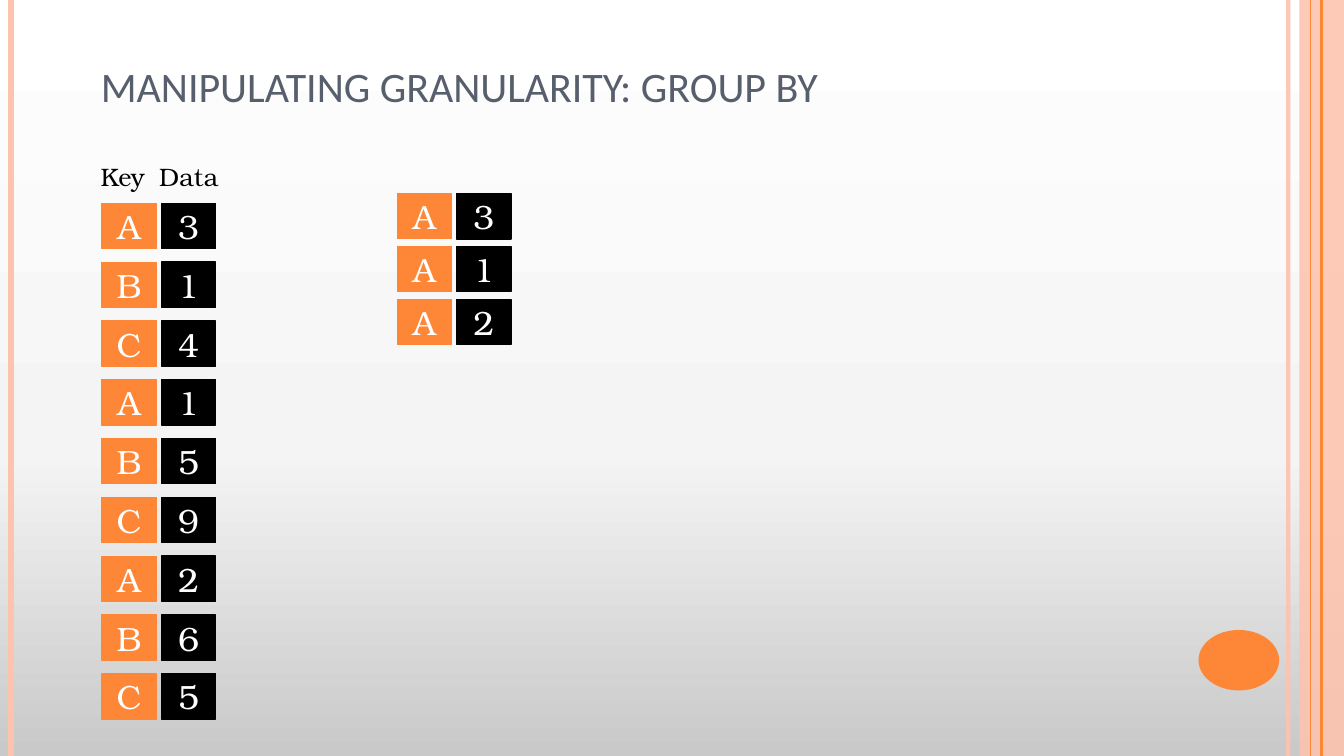
from copy import deepcopy
from typing import NamedTuple

from lxml.etree import SubElement
from pptx import Presentation
from pptx.dml.color import RGBColor
from pptx.enum.shapes import MSO_CONNECTOR, MSO_SHAPE
from pptx.enum.text import MSO_ANCHOR, PP_ALIGN
from pptx.oxml.ns import qn
from pptx.util import Emu, Inches, Pt

COLUMNS, ROWS = 160, 90
UNIT = Inches(1 / 12)

ORANGE, PEACH, SLATE = "FE8637", "FEC3AE", "575F6D"
BLACK, WHITE = "000000", "FFFFFF"
TITLE_FONT, BODY_FONT = "Calibri", "TeX Gyre Bonum"

CELL_WIDTH, CELL_HEIGHT = 6.5, 5.4
CELL_PITCH = 7.08


class Stripe(NamedTuple):
    column: float
    color: str
    weight: float
    opacity: int = 100


class Label(NamedTuple):
    text: str
    column: float
    width: float


class Records(NamedTuple):
    """A stack of key and data pairs, one pair every `pitch` rows."""
    column: float
    row: float
    pitch: float
    pairs: list[tuple[str, str]]


BACKGROUND_STOPS = [(0, "C9C9C9"), (0.4, "F4F4F4"), (1, WHITE)]
STRIPES = [
    Stripe(153.36, PEACH, 3, 93),
    Stripe(1.32, PEACH, 4.5),
    Stripe(157.32, ORANGE, 1.5),
    Stripe(156, ORANGE, 0.75),
]
LABELS = [Label("Key", 10.8, 7.8), Label("Data", 17.76, 9.84)]
RECORDS = [
    Records(47.28, 23.04, 6.3, list(zip("AAA", "312"))),
    Records(12.12, 24.2, 7, list(zip("ABC" * 3, "314159265"))),
]


def rgb(color: str) -> RGBColor:
    return RGBColor.from_string(color)


def grid(*lengths: float) -> list[Emu]:
    return [Emu(round(length * UNIT)) for length in lengths]


def set_opacity(properties, percent: int) -> None:
    """Make the first solid colour in the shape properties see-through."""
    color = properties.find(".//" + qn("a:srgbClr"))
    SubElement(color, qn("a:alpha"), val=str(percent * 1000))


def paint_background(slide) -> None:
    fill = slide.background.fill
    fill.gradient()
    fill.gradient_angle = 90
    stop_list = slide.element.find(".//" + qn("a:gsLst"))
    stop_list.append(deepcopy(stop_list[0]))
    for stop, (position, color) in zip(fill.gradient_stops, BACKGROUND_STOPS):
        stop.position = position
        stop.color.rgb = rgb(color)


def add_stripe(slide, stripe: Stripe) -> None:
    line = slide.shapes.add_connector(
        MSO_CONNECTOR.STRAIGHT, *grid(stripe.column, 0, stripe.column, ROWS))
    line.line.color.rgb = rgb(stripe.color)
    line.line.width = Pt(stripe.weight)
    properties = line.element.spPr
    if stripe.opacity < 100:
        set_opacity(properties, stripe.opacity)
    SubElement(properties, qn("a:effectLst"))


def add_filled(shapes, kind: MSO_SHAPE, color: str, *place: float):
    shape = shapes.add_shape(kind, *grid(*place))
    shape.shadow.inherit = False
    shape.fill.solid()
    shape.fill.fore_color.rgb = rgb(color)
    shape.line.fill.background()
    return shape


def write(shape, text: str, font: str, size: float, color: str,
          alignment: PP_ALIGN = PP_ALIGN.LEFT):
    shape.text_frame.word_wrap = True
    paragraph = shape.text_frame.paragraphs[0]
    paragraph.text = text
    paragraph.alignment = alignment
    paragraph.font.name = font
    paragraph.font.size = Pt(size)
    paragraph.font.color.rgb = rgb(color)
    return paragraph


def add_title(slide, text: str) -> None:
    title = slide.shapes.title
    title.left, title.top, title.width, title.height = grid(10.8, 0, 132, 21.12)
    title.text_frame.vertical_anchor = MSO_ANCHOR.MIDDLE
    write(title, text, TITLE_FONT, 30, SLATE).line_spacing = 0.9


def add_label(slide, label: Label) -> None:
    box = slide.shapes.add_textbox(*grid(label.column, 18.6, label.width, 4.8))
    write(box, label.text, BODY_FONT, 18, BLACK)


def add_cell(shapes, text: str, color: str, weight: float,
             column: float, row: float) -> None:
    cell = add_filled(shapes, MSO_SHAPE.RECTANGLE, color,
                      column, row, CELL_WIDTH, CELL_HEIGHT)
    cell.line.color.rgb = rgb(color)
    cell.line.width = Pt(weight)
    cell.text_frame.vertical_anchor = MSO_ANCHOR.MIDDLE
    write(cell, text, BODY_FONT, 24, WHITE, PP_ALIGN.CENTER)


def add_records(slide, records: Records) -> None:
    for index, (key, data) in enumerate(records.pairs):
        row = records.row + index * records.pitch
        pair = slide.shapes.add_group_shape().shapes
        add_cell(pair, key, ORANGE, 0.75, records.column, row)
        add_cell(pair, data, BLACK, 1, records.column + CELL_PITCH, row)


def main() -> None:
    presentation = Presentation()
    presentation.slide_width, presentation.slide_height = grid(COLUMNS, ROWS)
    slide = presentation.slides.add_slide(presentation.slide_layouts[5])

    paint_background(slide)
    band = add_filled(slide.shapes, MSO_SHAPE.RECTANGLE, PEACH,
                      154.68, 0, 5.32, ROWS)
    set_opacity(band.element.spPr, 87)
    for stripe in STRIPES:
        add_stripe(slide, stripe)
    add_filled(slide.shapes, MSO_SHAPE.OVAL, ORANGE, 142.68, 75, 9.6, 7.2)

    add_title(slide, "MANIPULATING GRANULARITY: GROUP BY")
    for label in LABELS:
        add_label(slide, label)
    for records in RECORDS:
        add_records(slide, records)

    presentation.save("out.pptx")


if __name__ == "__main__":
    main()
